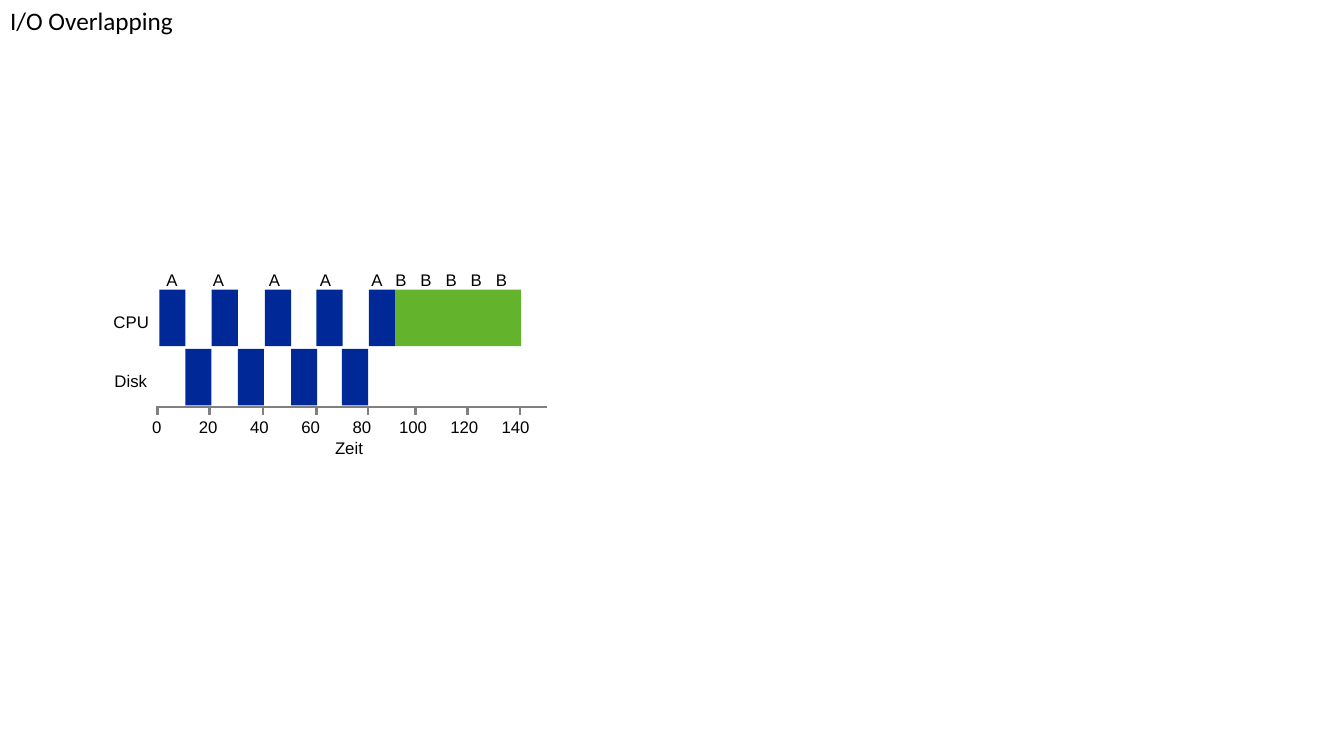
"""Build the I/O overlapping timing diagram slide."""
from dataclasses import dataclass

from lxml.etree import SubElement
from pptx import Presentation
from pptx.dml.color import RGBColor
from pptx.enum.shapes import MSO_CONNECTOR, MSO_SHAPE
from pptx.enum.text import MSO_ANCHOR, MSO_AUTO_SIZE, PP_ALIGN
from pptx.oxml.ns import qn
from pptx.util import Pt


@dataclass(frozen=True)
class Theme:
    ink: RGBColor = RGBColor(0, 0, 0)
    job_a: RGBColor = RGBColor(0x00, 0x28, 0x96)
    job_b: RGBColor = RGBColor(0x64, 0xB3, 0x2C)
    axis: RGBColor = RGBColor(0x80, 0x80, 0x80)
    title_font: str = "Calibri"
    label_font: str = "Arial"
    title_size: int = 18
    label_size: int = 12
    axis_width: float = 1.5
    tick_width: float = 2


class TimingSlide:
    def __init__(self, slide, theme):
        self.slide = slide
        self.theme = theme
        self.diagram = slide.shapes.add_group_shape().shapes

    def add_words(self, paragraph, words, font, size):
        paragraph.alignment = PP_ALIGN.LEFT
        run = paragraph.add_run()
        run.text = words
        run.font.name = font
        run.font.size = Pt(size)
        run.font.color.rgb = self.theme.ink

    def title(self, words, width, height):
        heading = self.slide.shapes.title
        heading.left, heading.top = Pt(0), Pt(0)
        heading.width, heading.height = Pt(width), Pt(height)
        frame = heading.text_frame
        frame.word_wrap = False
        frame.auto_size = MSO_AUTO_SIZE.SHAPE_TO_FIT_TEXT
        frame.vertical_anchor = MSO_ANCHOR.TOP
        paragraph = frame.paragraphs[0]
        paragraph.line_spacing = 1
        paragraph.space_before = Pt(0)
        self.add_words(paragraph, words, self.theme.title_font, self.theme.title_size)

    def label(self, words, left, top, width):
        frame = self.diagram.add_textbox(Pt(left), Pt(top), Pt(width), Pt(21.6)).text_frame
        frame.word_wrap = False
        frame.auto_size = MSO_AUTO_SIZE.SHAPE_TO_FIT_TEXT
        paragraph = frame.paragraphs[0]
        self.add_words(paragraph, words, self.theme.label_font, self.theme.label_size)
        return frame

    def label_row(self, entries, centers, left, top, width):
        frame = self.label("".join(f"\t{entry}" for entry in entries), left, top, width)
        frame.word_wrap = True
        frame.margin_left = frame.margin_right = Pt(0)
        properties = frame.paragraphs[0]._p.get_or_add_pPr()
        stops = SubElement(properties, qn("a:tabLst"))
        for center in centers:
            SubElement(stops, qn("a:tab"), pos=str(int(Pt(center - left))), algn="ctr")

    def burst(self, left, top, width, color):
        bar = self.diagram.add_shape(
            MSO_SHAPE.RECTANGLE, Pt(left), Pt(top), Pt(width), Pt(40.4))
        bar.shadow.inherit = False
        bar.fill.solid()
        bar.fill.fore_color.rgb = color
        bar.line.fill.background()

    def line(self, start, end, width):
        stroke = self.diagram.add_connector(
            MSO_CONNECTOR.STRAIGHT, *(Pt(length) for length in (*start, *end)))
        stroke.line.color.rgb = self.theme.axis
        stroke.line.width = Pt(width)
        SubElement(stroke._element.spPr, qn("a:effectLst"))


theme = Theme()
presentation = Presentation()
presentation.slide_width, presentation.slide_height = Pt(960), Pt(540)
timing = TimingSlide(presentation.slides.add_slide(presentation.slide_layouts[5]), theme)
timing.title("I/O Overlapping", 132.5, 28.8)

CPU_TOP, DISK_TOP, AXIS_TOP = 206.8, 249.2, 290.9
BURST_WIDTH = 18.7
LANES = {
    CPU_TOP: (113.8, 151.2, 189.2, 226.1, 263.5),
    DISK_TOP: (132.4, 169.9, 207.9, 244.3),
}
for lane_top, burst_starts in LANES.items():
    for burst_start in burst_starts:
        timing.burst(burst_start, lane_top, BURST_WIDTH, theme.job_a)
timing.burst(282.2, CPU_TOP, 90, theme.job_b)

timing.label("CPU", 74, 218.9, 40.3)
timing.label("Disk", 74.7, 261, 38.2)
timing.label("Zeit", 232.2, 309, 34.6)

timing.line((111.6, AXIS_TOP), (391, AXIS_TOP), theme.axis_width)
for tick in (112.3, 149.8, 187.9, 226.1, 262.8, 296.6, 334.1, 371.5):
    timing.line((tick, AXIS_TOP + 5.7), (tick, AXIS_TOP), theme.tick_width)

times = range(0, 141, 20)
timing.label_row(times, [112.1 + 1.83 * time for time in times], 102.2, 294.3, 288)

a_centers = [122.9, 156.1, 196.1, 232.5, 269.3]
b_centers = [286.4 + 17.95 * turn for turn in range(5)]
timing.label_row("AAAAABBBBB", a_centers + b_centers, 111.6, 188.8, 676)

presentation.save("out.pptx")
